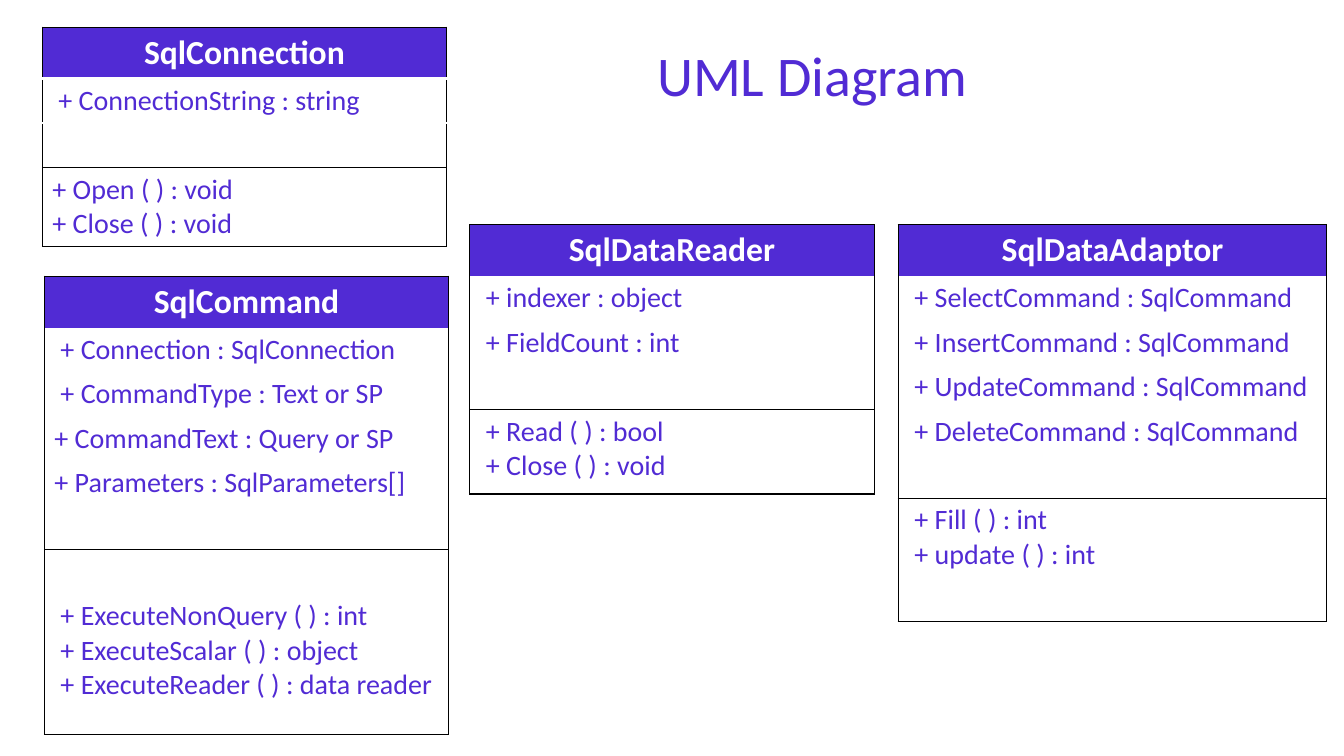
from lxml.etree import SubElement
from pptx import Presentation
from pptx.dml.color import RGBColor
from pptx.enum.text import MSO_ANCHOR, MSO_AUTO_SIZE, PP_ALIGN
from pptx.oxml.ns import qn
from pptx.util import Inches, Pt

PURPLE = RGBColor(0x51, 0x2B, 0xD4)
WHITE = RGBColor(0xFF, 0xFF, 0xFF)
BLACK = RGBColor(0, 0, 0)
FONT = "Calibri"
HEADER_H, ROW_H = 0.51, 0.44
FLUSH, INDENT = 0.1, 0.16
THIN = (BLACK, 1)


class UmlSlide:
    """Draws UML class boxes and titles in one style on a slide."""

    def __init__(self, slide):
        self.slide = slide

    def set_font(self, p, size, color, bold=False):
        p.font.name = FONT
        p.font.size = Pt(size)
        p.font.bold = bold
        p.font.color.rgb = color

    def title(self, text, x, y, w, h):
        sp = self.slide.shapes.add_textbox(Inches(x), Inches(y), Inches(w), Inches(h))
        tf = sp.text_frame
        tf.word_wrap = False
        tf.auto_size = MSO_AUTO_SIZE.SHAPE_TO_FIT_TEXT
        tf.text = text
        self.set_font(tf.paragraphs[0], 40, PURPLE)

    def borders(self, cell, top=None, bottom=None):
        tc_pr = cell._tc.get_or_add_tcPr()
        for side, line in zip("LRTB", (THIN, THIN, top, bottom)):
            ln = SubElement(tc_pr, qn(f"a:ln{side}"))
            if line is None:
                SubElement(ln, qn("a:noFill"))
                continue
            color, width = line
            ln.set("w", str(Pt(width)))
            fill = SubElement(ln, qn("a:solidFill"))
            SubElement(fill, qn("a:srgbClr")).set("val", str(color))

    def fill_cell(self, cell, lines, margin, fill=WHITE):
        cell.fill.solid()
        cell.fill.fore_color.rgb = fill
        cell.margin_left = Inches(margin)
        tf = cell.text_frame
        tf.text = "\n".join(lines)
        for p in tf.paragraphs:
            self.set_font(p, 20, PURPLE)

    def class_box(self, name, x, y, w, attributes, methods, methods_h,
                  method_margin=INDENT, gap_rows=0, header_rule=None, row_rule=None):
        rows = [([text], margin) for text, margin in attributes]
        rows += [([], FLUSH)] * (1 + gap_rows) + [(methods, method_margin)]
        heights = [HEADER_H] + [ROW_H] * (len(rows) - 1) + [methods_h]
        frame = self.slide.shapes.add_table(
            len(heights), 1, Inches(x), Inches(y), Inches(w), Inches(sum(heights)))
        table = frame.table
        table.first_row = table.horz_banding = False
        for row, height in zip(table.rows, heights):
            row.height = Inches(height)

        rules = [header_rule] + [row_rule] * len(attributes) + [THIN]
        rules += [None] * gap_rows + [THIN]
        for i, rule in enumerate(rules):
            self.borders(table.cell(i, 0), rules[i - 1] if i else THIN, rule)

        header = table.cell(0, 0)
        self.fill_cell(header, [name], FLUSH, PURPLE)
        header.vertical_anchor = MSO_ANCHOR.MIDDLE
        p = header.text_frame.paragraphs[0]
        p.alignment = PP_ALIGN.CENTER
        self.set_font(p, 24, WHITE, True)
        for i, (lines, margin) in enumerate(rows, 1):
            self.fill_cell(table.cell(i, 0), lines, margin)


def main():
    prs = Presentation()
    prs.slide_width, prs.slide_height = Inches(13.33), Inches(7.5)
    s = UmlSlide(prs.slides.add_slide(prs.slide_layouts[6]))

    s.class_box("SqlConnection", 0.42, 0.27, 4.01,
                [("+ ConnectionString : string", INDENT)],
                ["+ Open ( ) : void", "+ Close ( ) : void"], 0.78,
                method_margin=FLUSH, header_rule=(WHITE, 3), row_rule=(WHITE, 1))
    s.class_box("SqlCommand", 0.44, 2.74, 4.01,
                [("+ Connection : SqlConnection", INDENT),
                 ("+ CommandType : Text or SP", INDENT),
                 ("+ CommandText : Query or SP", FLUSH),
                 ("+ Parameters : SqlParameters[]", FLUSH)],
                ["+ ExecuteNonQuery ( ) : int",
                 "+ ExecuteScalar ( ) : object",
                 "+ ExecuteReader ( ) : data reader"], 1.39, gap_rows=1)
    s.class_box("SqlDataReader", 4.66, 2.23, 4.01,
                [("+ indexer : object", INDENT), ("+ FieldCount : int", INDENT)],
                ["+ Read ( ) : bool", "+ Close ( ) : void"], 0.84)
    s.class_box("SqlDataAdaptor", 8.91, 2.23, 4.25,
                [(f"+ {verb}Command : SqlCommand", INDENT)
                 for verb in ("Select", "Insert", "Update", "Delete")],
                ["+ Fill ( ) : int", "+ update ( ) : int"], 1.22)
    s.title("UML Diagram", 6.42, 0.35, 3.31, 0.77)

    prs.save("out.pptx")


if __name__ == "__main__":
    main()
